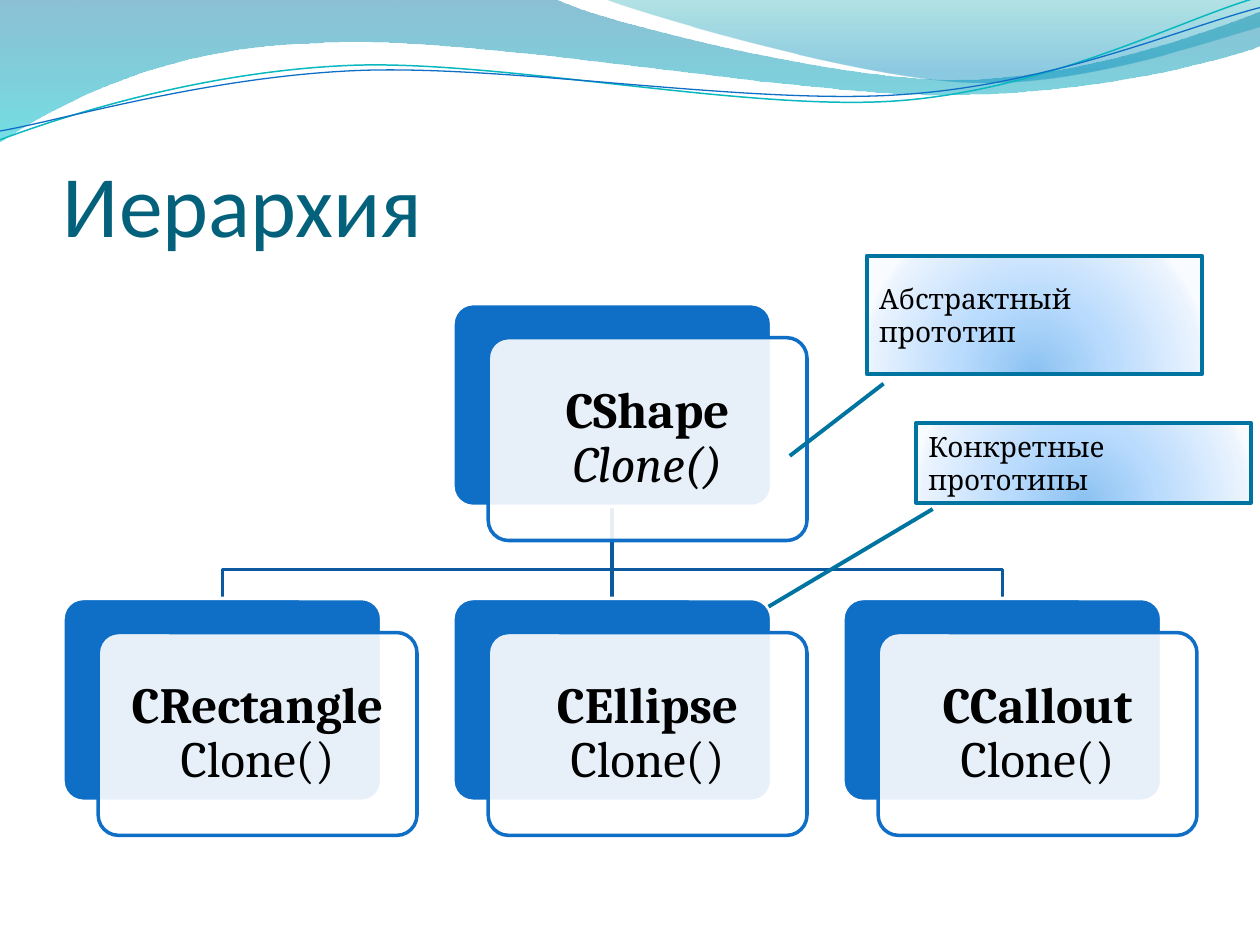
import math

from lxml import etree
from pptx import Presentation, util as u
from pptx.dml.color import RGBColor
from pptx.enum import shapes, text
from pptx.oxml.ns import qn

WIDTH, HEIGHT = 10, 7.5
BLUE, TREE, TEAL, WHITE, BLACK = "0F6FC6", "0C599F", "0074A1", "FFFFFF", "000000"
CARD_W, CARD_H = 2.53, 1.61
COLUMNS = [0.5 + i * 6.19 / 2 for i in range(3)]
TOP_ROW, BOTTOM_ROW = 2.41, 4.75
SHIFT_X, SHIFT_Y = 0.28, 0.27
TILT = -2.7

CALLOUT_STOPS = [(0, "8BC2F1", 100), (43, "B9DBFD", 100),
                 (93, "EAF3FE", 100), (100, "F8FBFF", 100)]

# Each wave has a frame, then a start point followed by lines (2 numbers)
# and cubic curves (6 numbers).
WAVES = [
    ((-0.01, -0.01, 10.02, 1.14),
     [(0, 0), (4.4, -0.01), (4.76, 0.17, 6.64, 0.63, 7.58, 0.63),
      (8.53, 0.63, 9.58, 0.26, 10, 0.09), (10.01, 0.36),
      (9.83, 0.44, 8.7, 0.76, 7.46, 0.75), (6.22, 0.75, 3.82, 0.28, 2.57, 0.34),
      (1.29, 0.36, 0.46, 0.83, -0.01, 1.13), (0, 0)],
     [(0, TEAL, 45), (100, "00C6CF", 55)]),
    ((4.79, -0.01, 5.21, 0.7),
     [(4.79, -0.01), (5.09, 0.11, 6.82, 0.62, 7.69, 0.65),
      (8.56, 0.69, 9.61, 0.32, 10, 0.21), (10, 0), (4.79, -0.01)],
     [(0, "00A1A9", 30), (80, "008BBF", 45)]),
]
STRANDS = [
    ((-0.02, 0.22, 10.02, 0.71),
     [(0, 1.11), (0.48, 0.93, 1.58, 0.57, 2.77, 0.52),
      (3.95, 0.47, 5.93, 0.89, 7.13, 0.8), (8.33, 0.71, 9.38, 0.15, 9.98, -0.02)],
     "0AB8BF", 0.85),
    ((-0.02, 0.3, 10.03, 0.58),
     [(0, 1.04), (0.47, 0.96, 1.64, 0.61, 2.83, 0.56),
      (4.03, 0.51, 5.97, 0.84, 7.17, 0.75), (8.36, 0.67, 9.41, 0.21, 10, 0.06)],
     BLUE, 0.75),
]


def color(value):
    """Turn a hex string into a colour."""
    return RGBColor.from_string(value)


def inches(*lengths):
    """Convert several lengths in inches."""
    return [u.Inches(length) for length in lengths]


def stroke(item, hue, points):
    """Set the line colour and width."""
    item.line.color.rgb = color(hue)
    item.line.width = u.Pt(points)


def paint(shape, hue, opacity=100):
    """Fill a shape with one colour, partly see-through if asked."""
    shape.fill.solid()
    shape.fill.fore_color.rgb = color(hue)
    if opacity < 100:
        tint = shape._element.spPr.find(qn("a:solidFill"))[0]
        etree.SubElement(tint, qn("a:alpha")).set("val", str(opacity * 1000))


def blend(shape, stops, radial=False):
    """Fill a shape with a downward or a circular gradient."""
    shape.fill.solid()
    props = shape._element.spPr
    gradient = etree.Element(qn("a:gradFill"), rotWithShape="1")
    stop_list = etree.SubElement(gradient, qn("a:gsLst"))
    for position, hue, opacity in stops:
        stop = etree.SubElement(stop_list, qn("a:gs"), pos=str(position * 1000))
        tint = etree.SubElement(stop, qn("a:srgbClr"), val=hue)
        if opacity < 100:
            etree.SubElement(tint, qn("a:alpha"), val=str(opacity * 1000))
    if radial:
        circle = etree.SubElement(gradient, qn("a:path"))
        circle.set("path", "circle")
        etree.SubElement(circle, qn("a:fillToRect"),
                         l="50000", t="130000", r="50000", b="-30000")
    else:
        etree.SubElement(gradient, qn("a:lin"), ang="5400000", scaled="1")
    props.replace(props.find(qn("a:solidFill")), gradient)


def local_point(point, frame, tilt):
    """Give a slide point in the coordinates of a tilted frame."""
    left, top, width, height = frame
    dx, dy = point[0] - left - width / 2, point[1] - top - height / 2
    cos, sin = math.cos(math.radians(tilt)), math.sin(math.radians(tilt))
    return inches(dx * cos + dy * sin + width / 2, dy * cos - dx * sin + height / 2)


def add_outline(slide, frame, segments, tilt=0):
    """Draw lines and cubic curves in a frame; the outline closes at its start."""
    ends = [inches(*segment[-2:]) for segment in segments]
    closed = ends[0] == ends[-1]
    builder = slide.shapes.build_freeform(*ends[0])
    builder.add_line_segments(ends[1:], close=False)
    outline = builder.convert_to_shape()
    outline.left, outline.top, outline.width, outline.height = inches(*frame)
    outline.rotation = tilt
    outline.shadow.inherit = False
    outline.fill.background()

    route = outline._element.spPr.find(".//" + qn("a:path"))
    route.set("w", str(outline.width))
    route.set("h", str(outline.height))
    for step in list(route):
        route.remove(step)
    for index, segment in enumerate(segments[:-1] if closed else segments):
        curve = "a:cubicBezTo" if len(segment) == 6 else "a:lnTo"
        step = etree.SubElement(route, qn(curve if index else "a:moveTo"))
        for point in zip(segment[::2], segment[1::2]):
            x, y = local_point(point, frame, tilt)
            etree.SubElement(step, qn("a:pt"), x=str(x), y=str(y))
    if closed:
        etree.SubElement(route, qn("a:close"))
        outline.line.fill.background()
    return outline


def add_waves(slide):
    """Draw the decorative band along the top."""
    for frame, segments, stops in WAVES:
        blend(add_outline(slide, frame, segments), stops)
    for frame, segments, hue, width in STRANDS:
        stroke(add_outline(slide, frame, segments, TILT), hue, width)


def add_branches(slide):
    """Join the parent card to its three children."""
    middle = COLUMNS[1] + CARD_W / 2
    start, bend, drop = 4.01, 4.52, 0.74
    pitch = COLUMNS[1] - COLUMNS[0]
    elbows = [[(middle, start), (middle, bend), (end, bend), (end, start + drop)]
              for end in (middle + pitch, middle - pitch)]
    stem = [(middle, start), (middle, start + drop)]
    for left, width, route in ((middle, pitch, elbows[0]),
                               (middle - 0.05, 0.1, stem),
                               (middle - pitch, pitch, elbows[1])):
        stroke(add_outline(slide, (left, start, width, drop), route), TREE, 2)


def write(frame, content, size, font, hue, anchor, align=text.PP_ALIGN.LEFT):
    """Put one paragraph into a frame and return it."""
    frame.word_wrap = True
    frame.vertical_anchor = anchor
    paragraph = frame.paragraphs[0]
    paragraph.text = content
    paragraph.alignment = align
    for run in paragraph.runs:
        run.font.size, run.font.name = u.Pt(size), font
        run.font.color.rgb = color(hue)
    return paragraph


def add_title(slide, content):
    """Add the slide title."""
    box = slide.shapes.add_textbox(*inches(0.5, 0.77, 0.9 * WIDTH, HEIGHT / 6))
    frame = box.text_frame
    frame.margin_left = frame.margin_right = frame.margin_bottom = 0
    write(frame, content, 50, "Calibri", "04617B", text.MSO_ANCHOR.BOTTOM)


def add_card(slide, left, top, name, abstract=False):
    """Draw a class card: a back plate, a shifted front plate and its text."""
    front = (left + SHIFT_X, top + SHIFT_Y)
    for corner, hue, opacity, edge in (((left, top), BLUE, 100, WHITE),
                                       (front, WHITE, 90, BLUE)):
        plate = slide.shapes.add_shape(shapes.MSO_SHAPE.ROUNDED_RECTANGLE,
                                       *inches(*corner, CARD_W, CARD_H))
        plate.adjustments[0] = 0.1
        plate.shadow.inherit = False
        paint(plate, hue, opacity)
        stroke(plate, edge, 2)
    frame = slide.shapes.add_textbox(*inches(*front, CARD_W, CARD_H)).text_frame
    frame.margin_left = frame.margin_right = u.Inches(0.12)
    frame.margin_top = frame.margin_bottom = u.Inches(0.12)
    label = write(frame, name + "\vClone()", 29, "Cambria", BLACK,
                  text.MSO_ANCHOR.MIDDLE, text.PP_ALIGN.CENTER)
    label.line_spacing = 0.9
    heading, method = label.runs
    heading.font.bold, method.font.italic = True, abstract


def add_callout(slide, left, top, height, pointer, content):
    """Add a note with a pointer line."""
    note = slide.shapes.add_shape(shapes.MSO_SHAPE.LINE_CALLOUT_1,
                                  *inches(left, top, 2.66, height))
    for index, value in enumerate((1.08, 0.05) + pointer):
        note.adjustments[index] = value
    note.shadow.inherit = False
    blend(note, CALLOUT_STOPS, radial=True)
    stroke(note, TEAL, 2.25)
    write(note.text_frame, content, 16, "Cambria", BLACK, text.MSO_ANCHOR.MIDDLE)


def main():
    """Build the slide and save it."""
    deck = Presentation()
    deck.slide_width, deck.slide_height = inches(WIDTH, HEIGHT)
    slide = deck.slides.add_slide(deck.slide_layouts[6])
    add_waves(slide)
    add_title(slide, "Иерархия")
    add_branches(slide)
    add_card(slide, COLUMNS[1], TOP_ROW, "CShape", abstract=True)
    for left, name in zip(COLUMNS, ("CRectangle", "CEllipse", "CCallout")):
        add_card(slide, left, BOTTOM_ROW, name)
    add_callout(slide, 6.88, 2.03, 0.94, (1.69, -0.23), "Абстрактный прототип")
    add_callout(slide, 7.27, 3.36, 0.63, (2.31, -0.44), "Конкретные прототипы")
    deck.save("out.pptx")


main()
